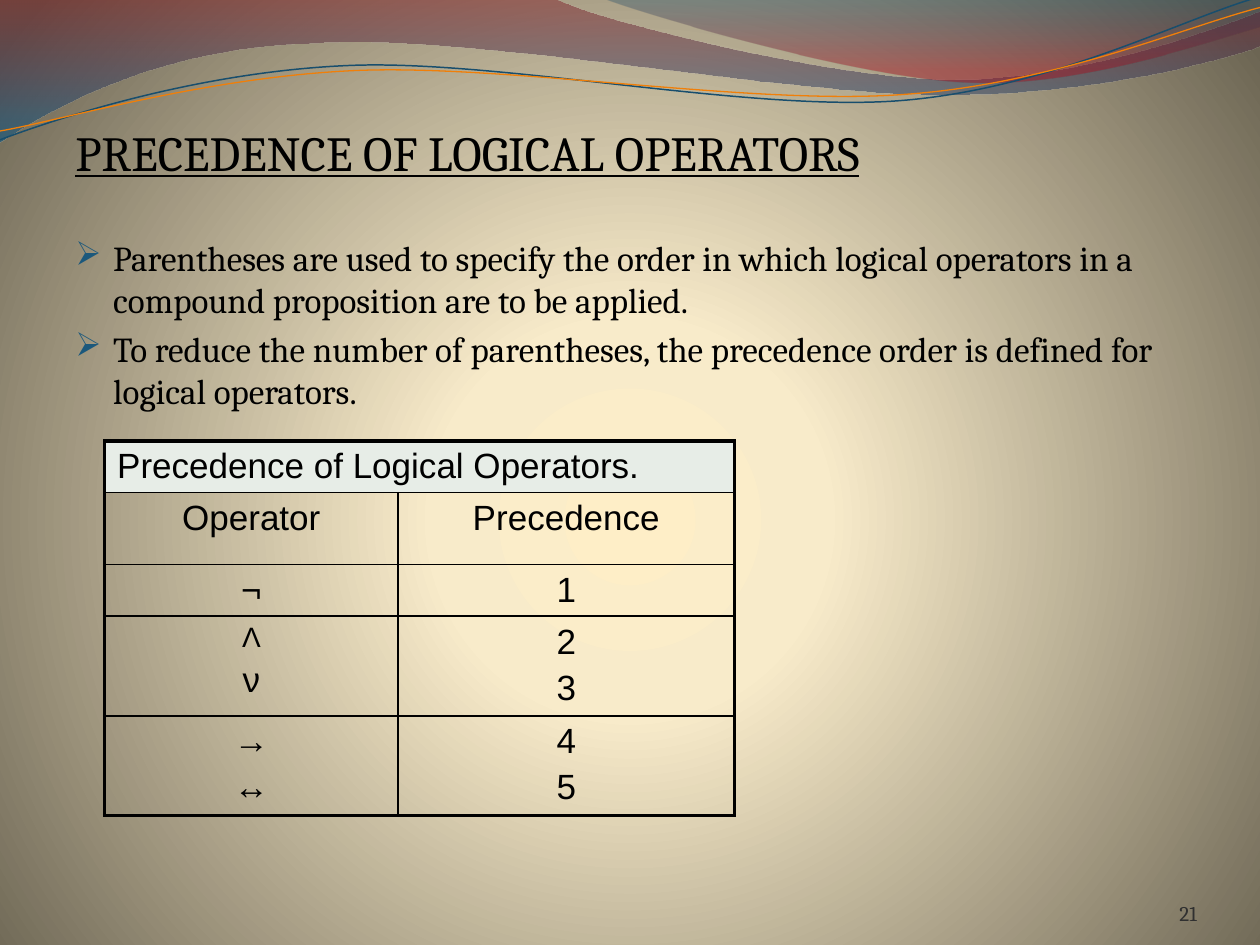
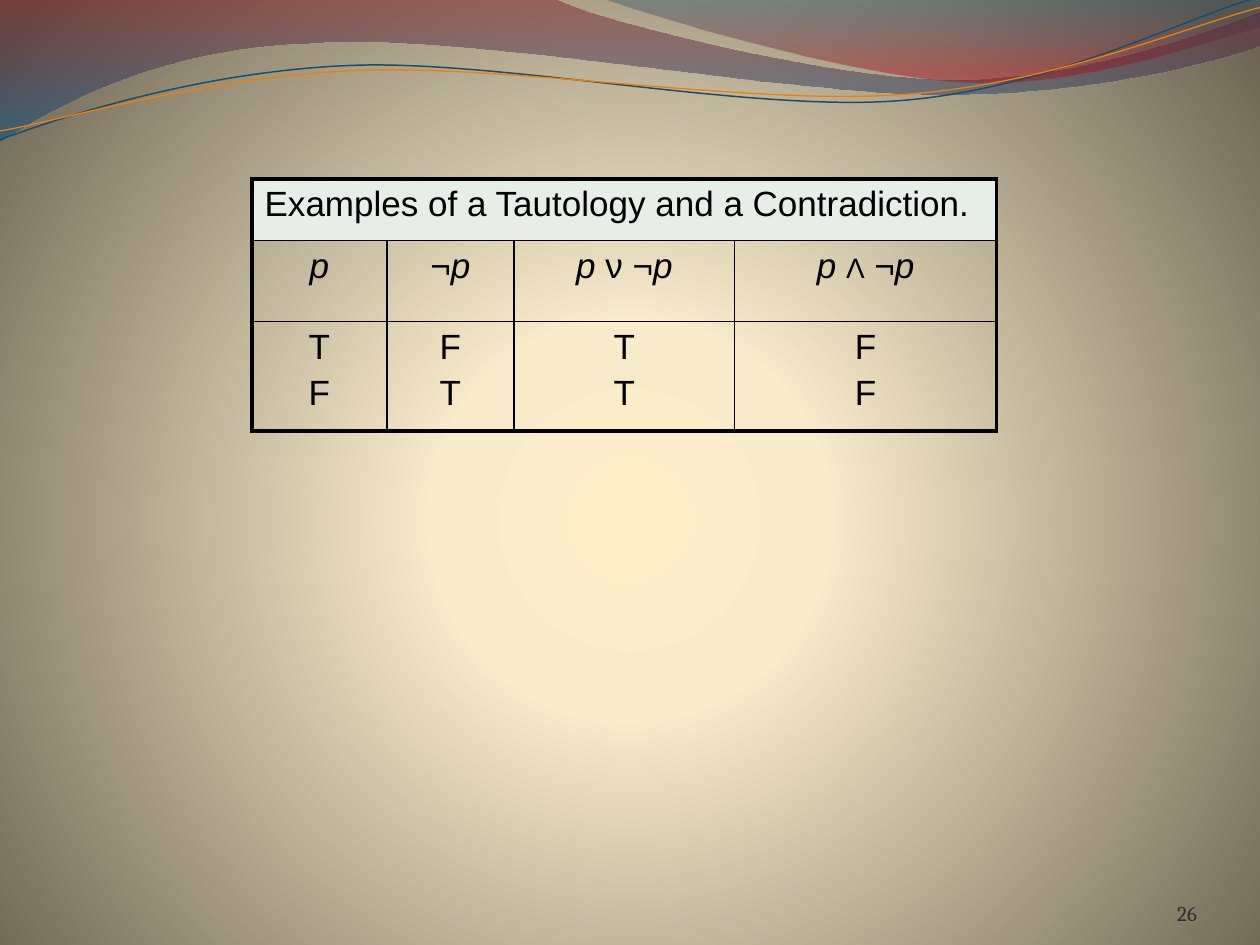
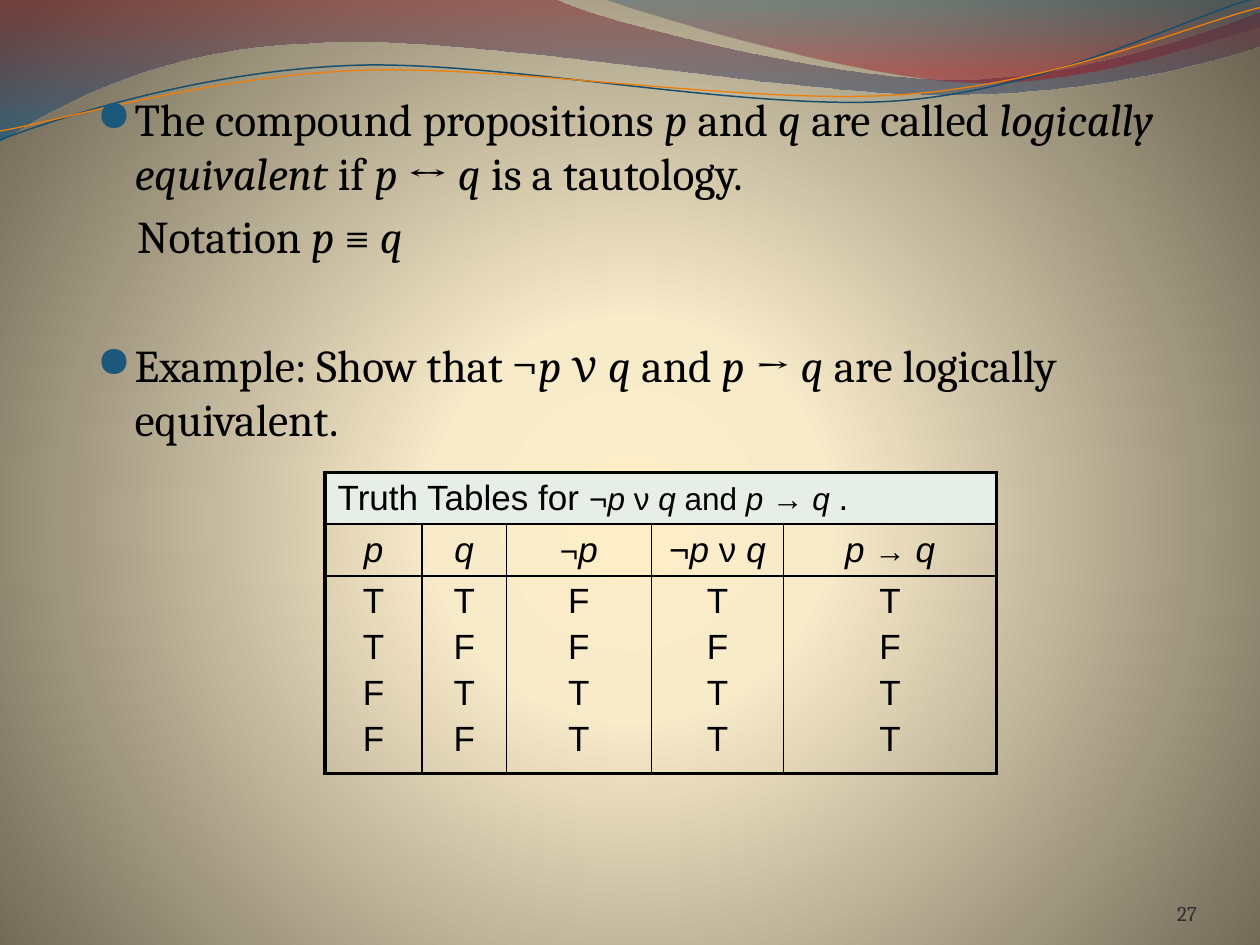
"""Build three slides on logical operators and equivalence."""
from dataclasses import dataclass
from math import cos, radians, sin

from lxml.etree import SubElement
from pptx import Presentation
from pptx.dml.color import RGBColor as Rgb
from pptx.enum.text import MSO_ANCHOR as Anchor, PP_ALIGN as Align
from pptx.oxml.ns import qn
from pptx.util import Inches, Pt


@dataclass(frozen=True)
class Theme:
    """Hold the colours, fonts and sizes of the deck."""
    ink: str = "000000"
    faint: str = "303030"
    mark: str = "1B587C"
    head: str = "E7EDE7"
    blue: str = "184E6D"
    gold: str = "F07F09"
    glow: tuple = ((0, "FEEEC7", 100), (25, "F8EBCA", 100), (100, "6C6553", 100))
    dusk: tuple = ((0, "7E1621", 45), (100, "005689", 55))
    dawn: tuple = ((0, "094467", 30), (80, "A10F1F", 45))
    serif: str = "Cambria"
    sans: str = "Arial"
    signs: str = "OpenSymbol"
    title: int = 28
    large: int = 26
    body: int = 20
    note: int = 18
    small: int = 16
    foot: int = 12
    thick: float = 2.25
    thin: float = 1
    tilt: float = -2.7
    plain: str = "{2D5ABB26-0587-4C30-8999-92F81FD0307C}"


LOOK = Theme()

BAND = [(0, 0), (4.4, -0.01), (4.76, 0.17, 6.64, 0.63, 7.58, 0.63),
        (8.53, 0.63, 9.58, 0.26, 10, 0.09), (10.01, 0.36),
        (9.83, 0.44, 8.7, 0.76, 7.46, 0.75), (6.22, 0.75, 3.82, 0.28, 2.57, 0.34),
        (1.29, 0.36, 0.46, 0.83, -0.01, 1.13)]
CREST = [(4.79, -0.01), (5.09, 0.11, 6.82, 0.62, 7.69, 0.65),
         (8.56, 0.69, 9.61, 0.32, 10, 0.21), (10, 0)]
UPPER = [(0, 1.11), (0.48, 0.93, 1.58, 0.57, 2.77, 0.52),
         (3.95, 0.47, 5.93, 0.89, 7.13, 0.8), (8.33, 0.71, 9.38, 0.15, 9.98, -0.02)]
LOWER = [(0, 1.04), (0.47, 0.96, 1.64, 0.61, 2.83, 0.56),
         (4.03, 0.51, 5.97, 0.84, 7.17, 0.75), (8.36, 0.67, 9.41, 0.21, 10, 0.06)]


def node(root, tag, **attrs):
    """Add a child element with the given attributes."""
    return SubElement(root, qn(tag), {key: str(val) for key, val in attrs.items()})


def tint(root, color, alpha=100):
    """Add a solid colour, see-through below 100 percent."""
    clr = node(root, "a:srgbClr", val=color)
    if alpha < 100:
        node(clr, "a:alpha", val=alpha * 1000)


def shade(root, stops):
    """Fill the gradient inside root with stops and return it."""
    grad = root.find(".//" + qn("a:gradFill"))
    grad.clear()
    group = node(grad, "a:gsLst")
    for place, color, alpha in stops:
        tint(node(group, "a:gs", pos=place * 1000), color, alpha)
    return grad


def backdrop(deck):
    """Give the master its round glow and the default font."""
    master = deck.slide_master
    master.background.fill.gradient()
    ring = node(shade(master.element, LOOK.glow), "a:path", path="circle")
    node(ring, "a:fillToRect", l=10000, t=110000, r=10000, b=100000)
    for root in (deck.element, master.element):
        for face in root.iter(qn("a:latin")):
            face.set("typeface", LOOK.sans)


def spin(x, y, angle):
    """Turn a point about the slide corner, clockwise in degrees."""
    c, s = cos(radians(angle)), sin(radians(angle))
    return x * c - y * s, x * s + y * c


def outline(slide, route, close, tilt=0):
    """Draw a route of straight and cubic legs, kept in a tilted frame."""
    legs = [[spin(*leg[i:i + 2], -tilt) for i in range(0, len(leg), 2)]
            for leg in route]
    points = [(Inches(x), Inches(y)) for leg in legs for x, y in leg]
    pen = slide.shapes.build_freeform(*points[0])
    pen.add_line_segments(points[1:], close=close)
    shape = pen.convert_to_shape()
    shape.shadow.inherit = False
    lines = iter(shape.element.findall(".//" + qn("a:lnTo")))
    for leg in legs[1:]:
        parts = [next(lines) for _ in leg]
        if len(parts) == 3:
            curve = parts[0]
            curve.addprevious(node(curve.getparent(), "a:cubicBezTo"))
            bend = curve.getprevious()
            for part in parts:
                bend.append(part[0])
                part.getparent().remove(part)
    if tilt:
        half, rise = shape.width / 2, shape.height / 2
        x, y = spin(shape.left + half, shape.top + rise, tilt)
        shape.left, shape.top = int(x - half), int(y - rise)
        shape.rotation = tilt
    return shape


def wave(slide, route, stops):
    """Draw a filled wave shaded from top to bottom."""
    shape = outline(slide, route, True)
    shape.line.fill.background()
    shape.fill.gradient()
    node(shade(shape.element, stops), "a:lin", ang=5400000, scaled=0)


def thread(slide, route, color, width):
    """Draw a thin curved line."""
    shape = outline(slide, route, False, LOOK.tilt)
    shape.fill.background()
    shape.line.color.rgb = Rgb.from_string(color)
    shape.line.width = Pt(width)


def write(para, text, font, size, color=LOOK.ink, under=False):
    """Add runs; stars enclose italics, and a list holds sized chunks."""
    chunks = [(text, size)] if isinstance(text, str) else text
    for words, points in chunks:
        for turn, piece in enumerate(words.split("*")):
            if piece:
                run = para.add_run()
                run.text = piece
                run.font.name = font
                run.font.size = Pt(points)
                run.font.italic = turn % 2 == 1
                run.font.underline = under
                run.font.color.rgb = Rgb.from_string(color)


def box(slide, left, top, width, height):
    """Add a wrapping text box and return its frame."""
    shape = slide.shapes.add_textbox(*map(Inches, (left, top, width, height)))
    shape.text_frame.word_wrap = True
    return shape.text_frame


def indent(para, left, hang=0, mark=None, gap=0):
    """Set the indent, the bullet and the space before."""
    props = para._p.get_or_add_pPr()
    props.set("marL", str(Inches(left)))
    props.set("indent", str(Inches(-hang)))
    if mark:
        tint(node(props, "a:buClr"), LOOK.mark)
        node(props, "a:buSzPct", val=95000)
        node(props, "a:buFont", typeface=LOOK.signs)
        node(props, "a:buChar", char=mark)
    if gap:
        para.space_before = Pt(gap)


def edge(cell, sides):
    """Draw the four borders of a cell."""
    props = cell._tc.get_or_add_tcPr()
    for side, outer in zip("LRTB", sides):
        width = LOOK.thick if outer else LOOK.thin
        line = node(props, f"a:ln{side}", w=Pt(width))
        tint(node(line, "a:solidFill"), LOOK.ink)


def fill_cell(cell, lines, align):
    """Write the lines of a cell."""
    frame = cell.text_frame
    cell.margin_bottom = Inches(0.02)
    for index, line in enumerate(lines):
        para = frame.add_paragraph() if index else frame.paragraphs[0]
        para.alignment = align
        if index:
            para.space_before = Pt(4)
        write(para, line, LOOK.sans, LOOK.body)


def grid(slide, left, top, cols, rows, title, cells):
    """Add a table with a merged title row."""
    spot = map(Inches, (left, top, sum(cols), sum(rows)))
    shape = slide.shapes.add_table(len(rows), len(cols), *spot)
    shape.element.find(".//" + qn("a:tableStyleId")).text = LOOK.plain
    table = shape.table
    table.first_row = table.horz_banding = False
    for col, width in zip(table.columns, cols):
        col.width = Inches(width)
    for row, height in zip(table.rows, rows):
        row.height = Inches(height)
    table.cell(0, 0).merge(table.cell(0, len(cols) - 1))
    fill_cell(table.cell(0, 0), [title], Align.LEFT)
    for r in range(len(rows)):
        for c in range(len(cols)):
            cell = table.cell(r, c)
            edge(cell, (c == 0, r == 0 or c == len(cols) - 1,
                        r == 0, r == len(rows) - 1))
            if r:
                cell.fill.background()
                fill_cell(cell, cells[r - 1][c], Align.CENTER)
            else:
                cell.fill.solid()
                cell.fill.fore_color.rgb = Rgb.from_string(LOOK.head)


def number(slide, text):
    """Write the slide number at the lower right."""
    frame = box(slide, 8.67, 6.95, 0.83, 0.4)
    frame.margin_left = frame.margin_right = 0
    frame.margin_top = frame.margin_bottom = 0
    frame.vertical_anchor = Anchor.BOTTOM
    para = frame.paragraphs[0]
    para.alignment = Align.RIGHT
    write(para, text, LOOK.serif, LOOK.foot, LOOK.faint)


def start(deck):
    """Add a blank slide with its waves."""
    slide = deck.slides.add_slide(deck.slide_layouts[6])
    wave(slide, BAND, LOOK.dusk)
    wave(slide, CREST, LOOK.dawn)
    thread(slide, UPPER, LOOK.blue, 0.85)
    thread(slide, LOWER, LOOK.gold, 0.75)
    return slide


def order(deck):
    """Build the slide on operator precedence."""
    slide = start(deck)
    frame = box(slide, 0.5, 0.92, 8.92, 6.33)
    para = frame.paragraphs[0]
    indent(para, 0.3, 0.3)
    write(para, "PRECEDENCE OF LOGICAL OPERATORS", LOOK.serif, LOOK.title, under=True)
    points = [
        (32, "Parentheses are used to specify the order in which logical operators "
             "in a compound proposition are to be applied."),
        (4, "To reduce the number of parentheses, the precedence order is defined "
            "for logical operators."),
    ]
    for gap, text in points:
        para = frame.add_paragraph()
        indent(para, 0.3, 0.3, "➢", gap)
        write(para, text, LOOK.serif, LOOK.body)
    grid(slide, 0.83, 3.5, [2.33, 2.67], [0.41, 0.57, 0.41, 0.78, 0.77],
         "Precedence of Logical Operators.",
         [[["Operator"], ["Precedence"]],
          [["¬"], ["1"]],
          [[[("Λ", LOOK.small)], "ν"], ["2", "3"]],
          [["→", "↔"], ["4", "5"]]])
    number(slide, "21")


def extremes(deck):
    """Build the slide on tautology and contradiction."""
    slide = start(deck)
    both = [("*p *", LOOK.body), ("Λ", LOOK.small), (" ¬*p*", LOOK.body)]
    grid(slide, 2, 1.42, [1.07, 1.01, 1.75, 2.08], [0.49, 0.64, 0.87],
         "Examples of a Tautology and a Contradiction.",
         [[["*p*"], ["¬*p*"], ["*p *ν ¬*p*"], [both]],
          [list(col) for col in ("TF", "FT", "TT", "FF")]])
    number(slide, "26")


def equal(deck):
    """Build the slide on logical equivalence."""
    slide = start(deck)
    title = [("Truth Tables for ", LOOK.body),
             ("¬*p *ν *q* and *p* → *q *", LOOK.note), (".", LOOK.body)]
    negate = [("¬", LOOK.note), ("*p*", LOOK.body)]
    imply = [("*p *", LOOK.body), ("→", LOOK.note), (" *q*", LOOK.body)]
    grid(slide, 2.58, 3.75, [0.77, 0.67, 1.15, 1.05, 1.69], [0.41, 0.41, 1.5], title,
         [[["*p*"], ["*q*"], [negate], ["¬*p *ν *q*"], [imply]],
          [list(col) for col in ("TTFF", "TFTF", "FFTT", "TFTT", "TFTT")]])
    frame = box(slide, 0.67, 0.67, 9.08, 2.92)
    points = [
        (0.3, 0.3, "●", 0, "The compound propositions *p* and *q* are called "
                           "*logically equivalent* if *p *↔ *q* is a tautology."),
        (0.32, 0, None, 5, "Notation *p *≡ *q*"),
        (0.3, 0.3, "●", 42, "Example: Show that ¬*p *ν *q* and *p* → *q* "
                            "are logically equivalent."),
    ]
    for index, (left, hang, mark, gap, text) in enumerate(points):
        para = frame.add_paragraph() if index else frame.paragraphs[0]
        indent(para, left, hang, mark, gap)
        write(para, text, LOOK.serif, LOOK.large)
    number(slide, "27")


def main():
    """Build and save the deck."""
    deck = Presentation()
    deck.slide_width, deck.slide_height = Inches(10), Inches(7.5)
    backdrop(deck)
    order(deck)
    extremes(deck)
    equal(deck)
    deck.save("out.pptx")


if __name__ == "__main__":
    main()
